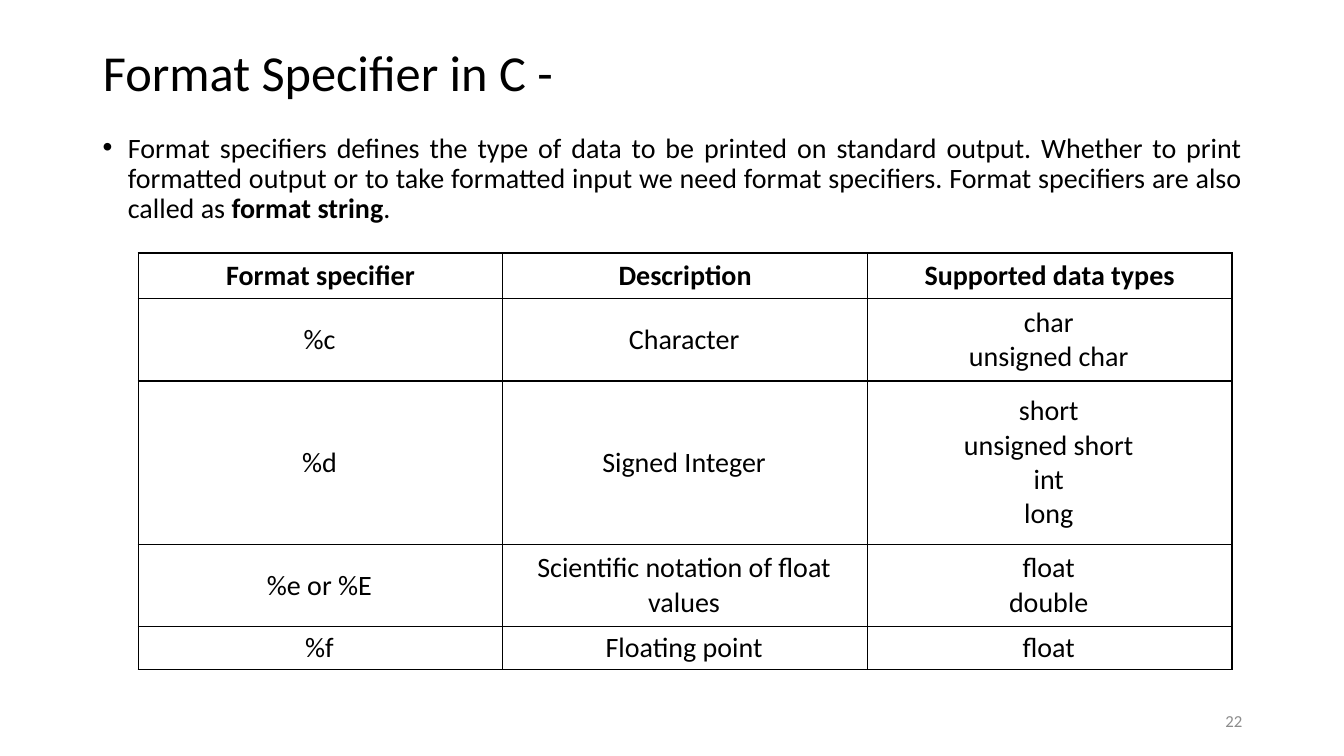
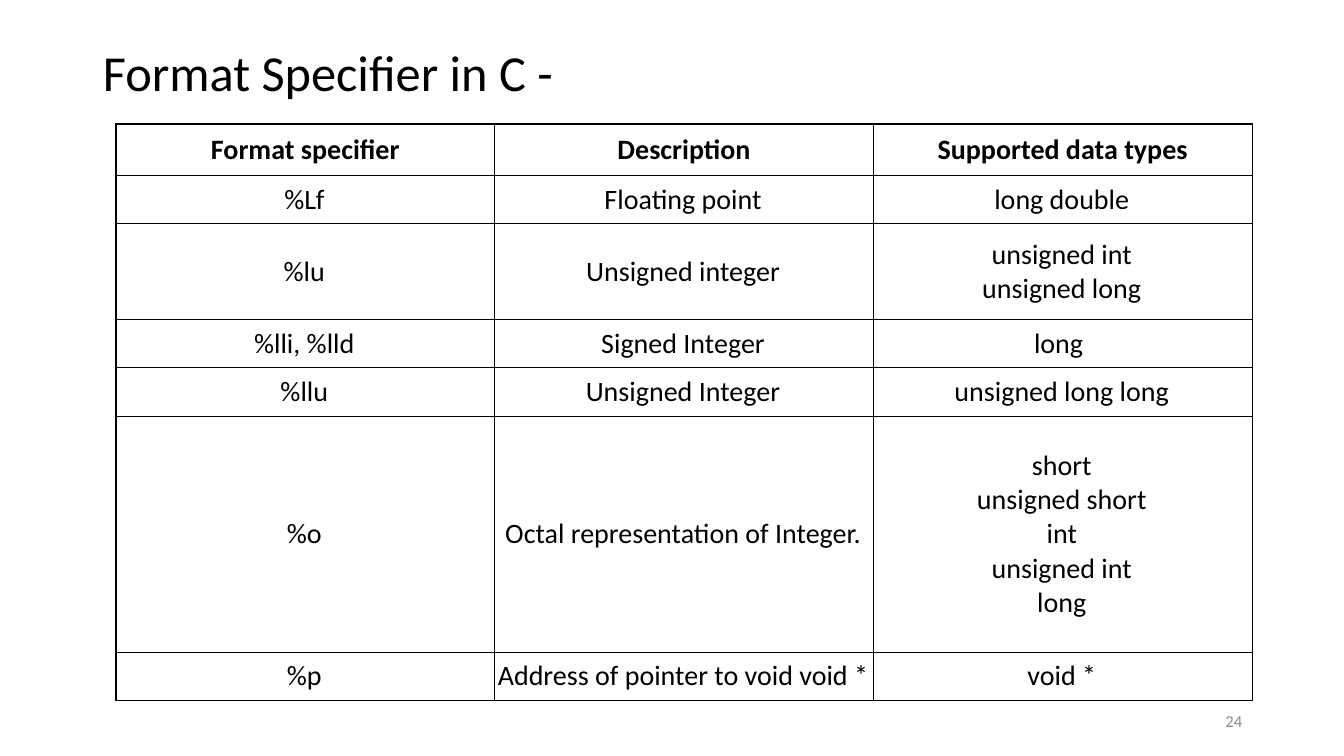
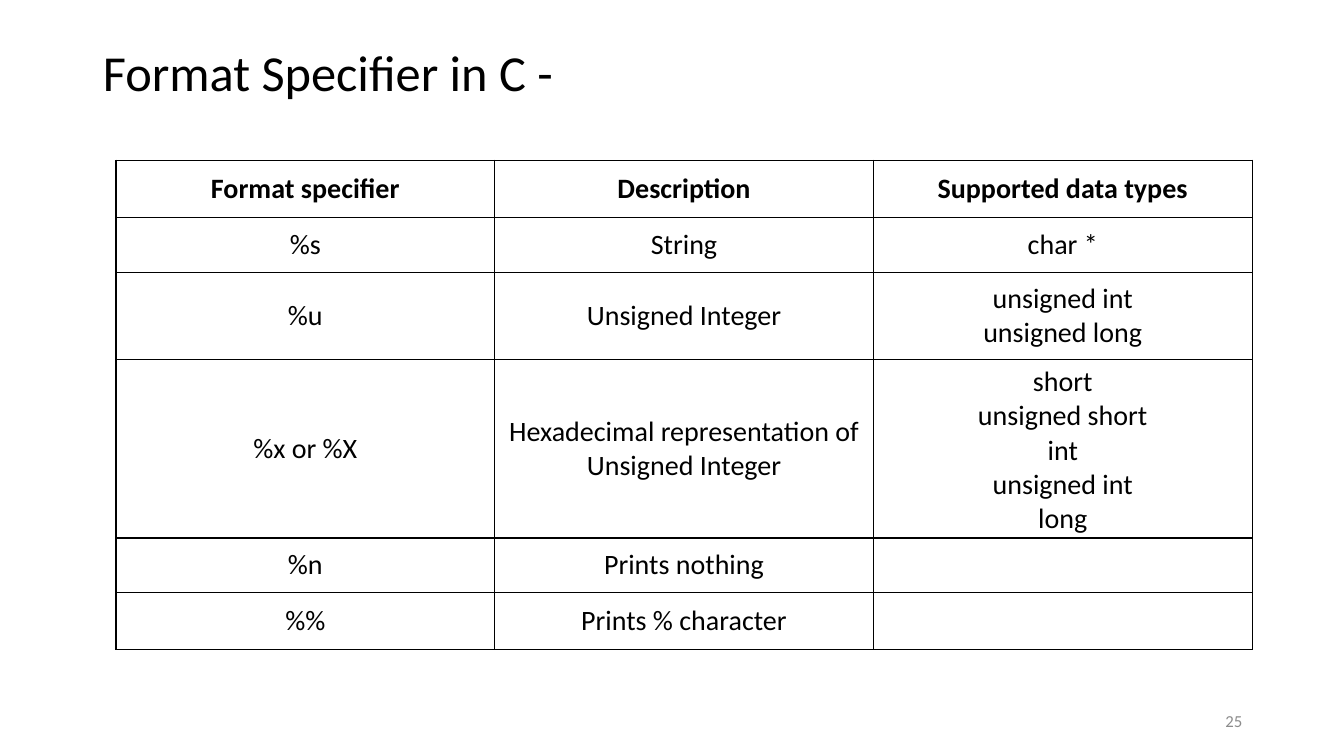
from lxml import etree
from pptx import Presentation, util as u
from pptx.dml.color import RGBColor
from pptx.enum import text
from pptx.oxml import ns

FONT = "Calibri"
BLACK, GREY = "000000", "8C8C8C"
TITLE = "Format Specifier in C -"
HEADINGS = ("Format specifier", "Description", "Supported data types")
LEFT, WIDTH = 0.92, 11.5
WIDE = [0.05] * 4
HEAD_INSETS = (0.06, 0.02, 0.06, 0.02)
CELL_INSETS = (0.02, 0.01, 0.04, 0.01)


def color(code):
    return RGBColor.from_string(code)


class SlideWriter:
    """Holds the shared style and the slide being written."""

    def __init__(self):
        self.deck = Presentation()
        self.deck.slide_width = u.Inches(13.33)
        self.deck.slide_height = u.Inches(7.5)
        self.page = None

    def span(self, para, words, size=20, bold=False, code=BLACK):
        run = para.add_run()
        run.text = words
        run.font.name = FONT
        run.font.size = u.Pt(size)
        run.font.bold = bold
        run.font.color.rgb = color(code)

    def place(self, box, top, height, left=LEFT, width=WIDTH):
        box.left, box.top = u.Inches(left), u.Inches(top)
        box.width, box.height = u.Inches(width), u.Inches(height)

    def text_box(self, top, height, left=LEFT, width=WIDTH):
        box = self.page.shapes.add_textbox(0, 0, 0, 0)
        self.place(box, top, height, left, width)
        box.text_frame.word_wrap = True
        return box.text_frame

    def new_page(self, number):
        self.page = self.deck.slides.add_slide(self.deck.slide_layouts[5])
        # Title
        title = self.page.shapes.title
        self.place(title, 0.4, 0.7)
        frame = title.text_frame
        frame.auto_size = text.MSO_AUTO_SIZE.NONE
        frame.vertical_anchor = text.MSO_ANCHOR.MIDDLE
        para = frame.paragraphs[0]
        para.alignment = text.PP_ALIGN.LEFT
        para.line_spacing = 0.9
        self.span(para, TITLE, size=36)
        # Page number
        frame = self.text_box(6.95, 0.4, left=LEFT + WIDTH - 3, width=3)
        frame.vertical_anchor = text.MSO_ANCHOR.MIDDLE
        para = frame.paragraphs[0]
        para.alignment = text.PP_ALIGN.RIGHT
        self.span(para, str(number), size=12, code=GREY)

    def bullet(self, top, height, parts):
        para = self.text_box(top, height).paragraphs[0]
        para.alignment = text.PP_ALIGN.JUSTIFY
        para.line_spacing = 0.9
        props = para._p.get_or_add_pPr()
        props.set("marL", str(u.Inches(0.25)))
        props.set("indent", str(-u.Inches(0.25)))
        etree.SubElement(props, ns.qn("a:buFont")).set("typeface", "Arial")
        etree.SubElement(props, ns.qn("a:buChar")).set("char", "•")
        for words, bold in parts:
            self.span(para, words, bold=bold)

    def borders(self, cell):
        props = cell._tc.get_or_add_tcPr()
        for index, side in enumerate(("lnL", "lnR", "lnT", "lnB")):
            line = etree.Element(ns.qn("a:" + side), w=str(u.Pt(1)))
            fill = etree.SubElement(line, ns.qn("a:solidFill"))
            etree.SubElement(fill, ns.qn("a:srgbClr")).set("val", BLACK)
            props.insert(index, line)

    def cell(self, cell, words, insets, bold):
        cell.fill.background()
        self.borders(cell)
        cell.vertical_anchor = text.MSO_ANCHOR.MIDDLE
        (cell.margin_left, cell.margin_top,
         cell.margin_right, cell.margin_bottom) = map(u.Inches, insets)
        para = cell.text_frame.paragraphs[0]
        para.alignment = text.PP_ALIGN.CENTER
        if not words:
            return
        for index, line in enumerate(words.split("\n")):
            if index:
                para.add_line_break()
            self.span(para, line, bold=bold)

    def table(self, left, top, width, heights, rows,
              head_insets=HEAD_INSETS, cell_insets=CELL_INSETS):
        rows = [HEADINGS, *rows]
        grid = self.page.shapes.add_table(
            len(rows), len(HEADINGS), u.Inches(left), u.Inches(top),
            u.Inches(width), u.Inches(sum(heights))).table
        grid.first_row = grid.horz_banding = False
        for column in grid.columns:
            column.width = u.Inches(width / len(HEADINGS))
        for r, (height, row) in enumerate(zip(heights, rows)):
            grid.rows[r].height = u.Inches(height)
            insets = cell_insets if r else head_insets
            for c, words in enumerate(row):
                self.cell(grid.cell(r, c), words, insets, bold=r == 0)


def main():
    writer = SlideWriter()

    # Introduction, characters and floats
    writer.new_page(22)
    writer.bullet(1.28, 4.76, [
        ("Format specifiers defines the type of data to be printed on standard "
         "output. Whether to print formatted output or to take formatted input "
         "we need format specifiers. Format specifiers are also called as ", False),
        ("format string", True),
        (".", False),
    ])
    writer.table(1.37, 2.51, 10.85, [0.45, 0.82, 1.62, 0.82, 0.42], [
        ("%c", "Character", "char\nunsigned char"),
        ("%d", "Signed Integer", "short\nunsigned short\nint\nlong"),
        ("%e or %E", "Scientific notation of float values", "float\ndouble"),
        ("%f", "Floating point", "float"),
    ])

    # Long types, octal and pointers
    writer.new_page(24)
    writer.table(1.15, 1.23, 11.27, [0.51, 0.48, 0.95, 0.48, 0.48, 2.34, 0.48], [
        ("%Lf", "Floating point", "long double"),
        ("%lu", "Unsigned integer", "unsigned int\nunsigned long"),
        ("%lli, %lld", "Signed Integer", "long "),
        ("%llu", "Unsigned Integer", "unsigned long long"),
        ("%o", "Octal representation of Integer.",
         "short\nunsigned short\nint\nunsigned int\nlong"),
        ("%p", "Address of pointer to void void *", "void *"),
    ])

    # Strings, hexadecimal and special specifiers
    writer.new_page(25)
    writer.table(1.15, 1.59, 11.27, [0.57, 0.54, 0.87, 1.71, 0.54, 0.57], [
        ("%s", "String", "char *"),
        ("%u", "Unsigned Integer", "unsigned int\nunsigned long"),
        ("%x or %X", "Hexadecimal representation of Unsigned Integer",
         "short\nunsigned short\nint\nunsigned int\nlong"),
        ("%n", "Prints nothing", ""),
        ("%%", "Prints % character", ""),
    ], head_insets=WIDE, cell_insets=WIDE)

    writer.deck.save("out.pptx")


if __name__ == "__main__":
    main()
